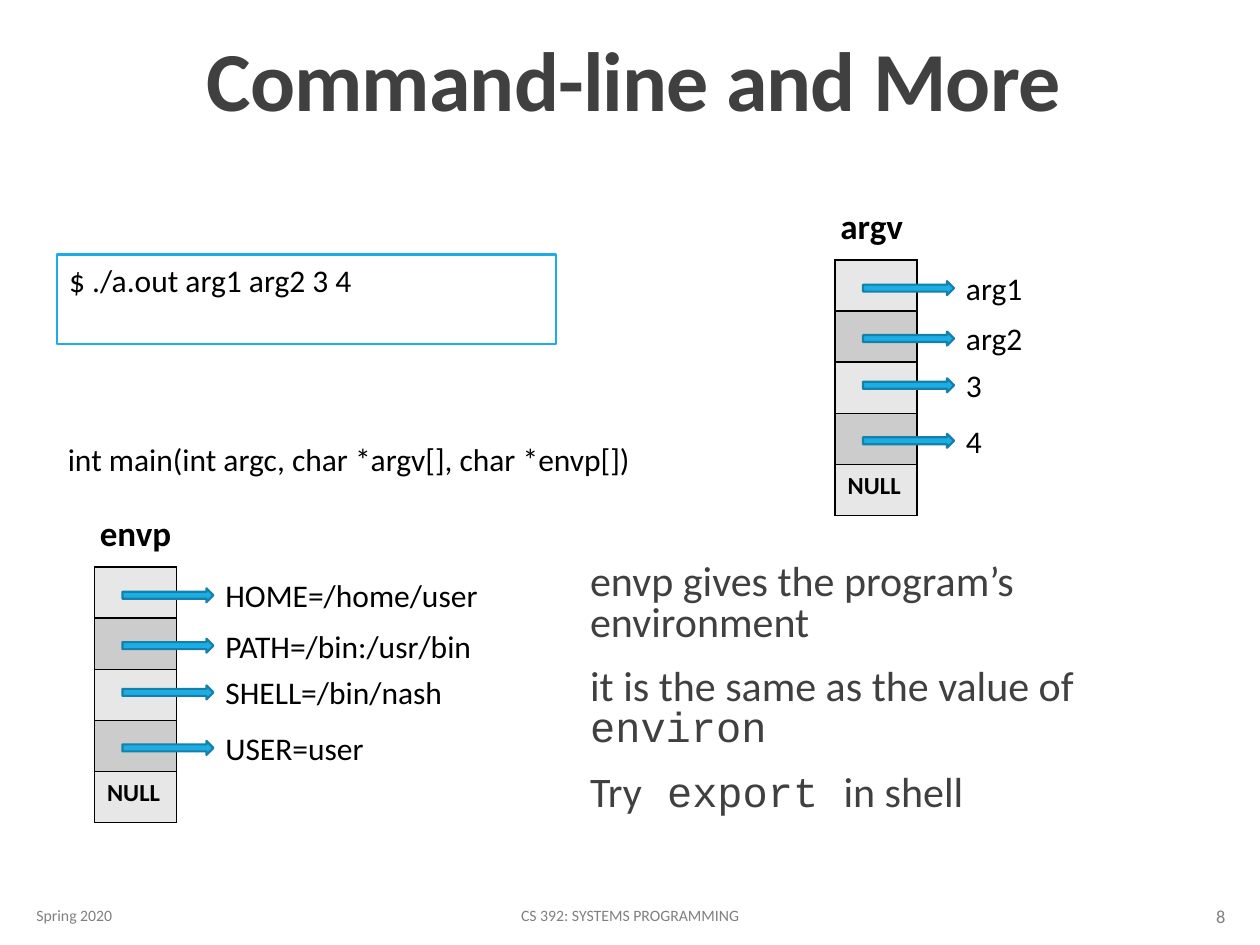
from dataclasses import dataclass

from lxml import etree
from pptx import Presentation
from pptx.dml.color import RGBColor
from pptx.enum.shapes import MSO_SHAPE
from pptx.enum.text import MSO_ANCHOR, MSO_AUTO_SIZE, PP_ALIGN
from pptx.oxml import parse_xml
from pptx.oxml.ns import nsdecls, qn
from pptx.util import Pt

RECTANGLE, RIGHT_ARROW = MSO_SHAPE.RECTANGLE, MSO_SHAPE.RIGHT_ARROW
LEFT, CENTER, RIGHT = PP_ALIGN.LEFT, PP_ALIGN.CENTER, PP_ALIGN.RIGHT
TOP, MIDDLE, BOTTOM = MSO_ANCHOR.TOP, MSO_ANCHOR.MIDDLE, MSO_ANCHOR.BOTTOM
FIXED_SIZE, FIT_SHAPE = MSO_AUTO_SIZE.NONE, MSO_AUTO_SIZE.SHAPE_TO_FIT_TEXT
SANS, MONO = "Calibri", "Courier New"
COLORS = {
    "black": "000000",
    "white": "FFFFFF",
    "heading": "404040",
    "footer": "808080",
    "accent": "1CADE4",
    "accent_dark": "1580A9",
    "cell_light": "E7E7E7",
    "cell_dark": "CCCCCC",
}
CELL_WIDTH, CELL_HEIGHT, CELL_COUNT = 46.8, 29.25, 5
ARROW_TOPS = (12.2, 41, 67.7, 99.4)


@dataclass
class Label:
    text: str
    left: float
    top: float
    width: float
    height: float = 29
    size: float = 18
    color: str = "black"
    bold: bool = False
    align: PP_ALIGN = LEFT
    anchor: MSO_ANCHOR = TOP
    wrap: bool = False


@dataclass
class PointerArray:
    name: str
    name_width: float
    left: float
    top: float
    entries: tuple[tuple[str, float], ...]


ARRAYS = (
    PointerArray("argv", 50.5, 477.2, 148.5,
                 (("arg1", 47), ("arg2", 47), ("3", 24), ("4", 24))),
    PointerArray("envp", 55.5, 54, 324,
                 (("HOME=/home/user", 160.5), ("PATH=/bin:/usr/bin", 157),
                  ("SHELL=/bin/nash", 139.5), ("USER=user", 94))),
)
LABELS = (
    Label("int main(int argc, char *argv[], char *envp[])", 31.7, 247.7, 338.5, wrap=True),
    Label("Spring 2020", 13.7, 508.5, 146, size=9, color="footer", anchor=MIDDLE, wrap=True),
    Label("CS 392: SYSTEMS PROGRAMMING", 217.5, 508.5, 285, size=9, color="footer",
          align=CENTER, anchor=MIDDLE, wrap=True),
    Label("8", 629.3, 509, 78, size=10.5, color="footer",
          align=RIGHT, anchor=MIDDLE, wrap=True),
)
NOTES = (
    (("envp gives the program’s environment", SANS),),
    (("it is the same as the value of ", SANS), ("environ", MONO)),
    (("Try", SANS), (" export ", MONO), ("in shell", SANS)),
)


def rgb(color: str) -> RGBColor:
    return RGBColor.from_string(COLORS[color])


def place(shape, left: float, top: float, width: float, height: float) -> None:
    shape.left, shape.top = Pt(left), Pt(top)
    shape.width, shape.height = Pt(width), Pt(height)


def format_run(run, size: float, color: str, bold: bool = False, font: str = SANS) -> None:
    run.font.name = font
    run.font.size = Pt(size)
    run.font.bold = bold
    run.font.color.rgb = rgb(color)


def draw_label(slide, label: Label) -> None:
    shape = slide.shapes.add_textbox(
        Pt(label.left), Pt(label.top), Pt(label.width), Pt(label.height))
    frame = shape.text_frame
    frame.text = label.text
    frame.word_wrap = label.wrap
    frame.auto_size = FIXED_SIZE if label.anchor == MIDDLE else FIT_SHAPE
    frame.vertical_anchor = label.anchor
    paragraph = frame.paragraphs[0]
    paragraph.alignment = label.align
    format_run(paragraph.runs[0], label.size, label.color, label.bold)


def draw_shape(slide, kind: MSO_SHAPE, left: float, top: float, width: float,
               height: float, fill: str, line: str):
    shape = slide.shapes.add_shape(kind, Pt(left), Pt(top), Pt(width), Pt(height))
    shape.shadow.inherit = False
    shape.fill.solid()
    shape.fill.fore_color.rgb = rgb(fill)
    shape.line.color.rgb = rgb(line)
    shape.line.width = Pt(1.25)
    return shape


def add_borders(cell) -> None:
    properties = cell._tc.get_or_add_tcPr()
    for index, side in enumerate(("lnL", "lnR", "lnT", "lnB")):
        properties.insert(index, parse_xml(
            f'<a:{side} {nsdecls("a")} w="{Pt(1)}"><a:solidFill>'
            f'<a:srgbClr val="{COLORS["black"]}"/></a:solidFill></a:{side}>'))


def draw_array(slide, array: PointerArray) -> None:
    table = slide.shapes.add_table(
        CELL_COUNT, 1, Pt(array.left), Pt(array.top),
        Pt(CELL_WIDTH), Pt(CELL_HEIGHT * CELL_COUNT)).table
    for index in range(CELL_COUNT):
        cell = table.cell(index, 0)
        cell.fill.solid()
        cell.fill.fore_color.rgb = rgb("cell_dark" if index % 2 else "cell_light")
        add_borders(cell)
    last_cell = table.cell(CELL_COUNT - 1, 0)
    last_cell.text_frame.text = "NULL"
    format_run(last_cell.text_frame.paragraphs[0].runs[0], 14, "black", True)

    draw_label(slide, Label(array.name, array.left - 4, array.top - 35, array.name_width,
                            31.5, size=20, bold=True))
    for (text, width), offset in zip(array.entries, ARROW_TOPS):
        top = array.top + offset
        draw_shape(slide, RIGHT_ARROW, array.left + 16, top, 52, 8, "accent", "accent_dark")
        draw_label(slide, Label(text, array.left + 67.7, top - 10.5, width))


def draw_title(slide) -> None:
    title = slide.shapes.title
    place(title, 65, 3, 594, 74)
    frame = title.text_frame
    frame.text = "Command-line and More"
    frame.auto_size = FIXED_SIZE
    frame.vertical_anchor = BOTTOM
    paragraph = frame.paragraphs[0]
    paragraph.alignment = CENTER
    paragraph.line_spacing = 0.85
    run = paragraph.runs[0]
    format_run(run, 48, "heading", True)
    run.font._element.set("spc", "-50")


def draw_command(slide) -> None:
    shape = draw_shape(slide, RECTANGLE, 32.4, 145.4, 285.4, 51, "white", "accent")
    frame = shape.text_frame
    frame.text = "$ ./a.out arg1 arg2 3 4"
    frame.vertical_anchor = TOP
    paragraph = frame.paragraphs[0]
    paragraph.alignment = LEFT
    format_run(paragraph.runs[0], 18, "black")


def draw_notes(slide) -> None:
    body = slide.placeholders[1]
    place(body, 330, 319, 354, 163.5)
    frame = body.text_frame
    frame.auto_size = FIXED_SIZE
    frame.margin_left = frame.margin_right = 0
    for index, pieces in enumerate(NOTES):
        paragraph = frame.add_paragraph() if index else frame.paragraphs[0]
        paragraph.line_spacing = 0.8
        paragraph.space_before, paragraph.space_after = Pt(12), Pt(2)
        for text, font in pieces:
            run = paragraph.add_run()
            run.text = text
            format_run(run, 24, "heading", font=font)
        properties = paragraph._p.get_or_add_pPr()
        properties.set("marL", str(Pt(7.2)))
        properties.set("indent", str(Pt(-7.2)))
        bullet_color = etree.SubElement(properties, qn("a:buClr"))
        etree.SubElement(bullet_color, qn("a:srgbClr"), val=COLORS["accent"])
        etree.SubElement(properties, qn("a:buChar"), char=" ")


def main() -> None:
    presentation = Presentation()
    presentation.slide_width, presentation.slide_height = Pt(720), Pt(540)
    slide = presentation.slides.add_slide(presentation.slide_layouts[1])
    draw_title(slide)
    draw_command(slide)
    for array in ARRAYS:
        draw_array(slide, array)
    draw_notes(slide)
    for label in LABELS:
        draw_label(slide, label)
    presentation.save("out.pptx")


if __name__ == "__main__":
    main()
